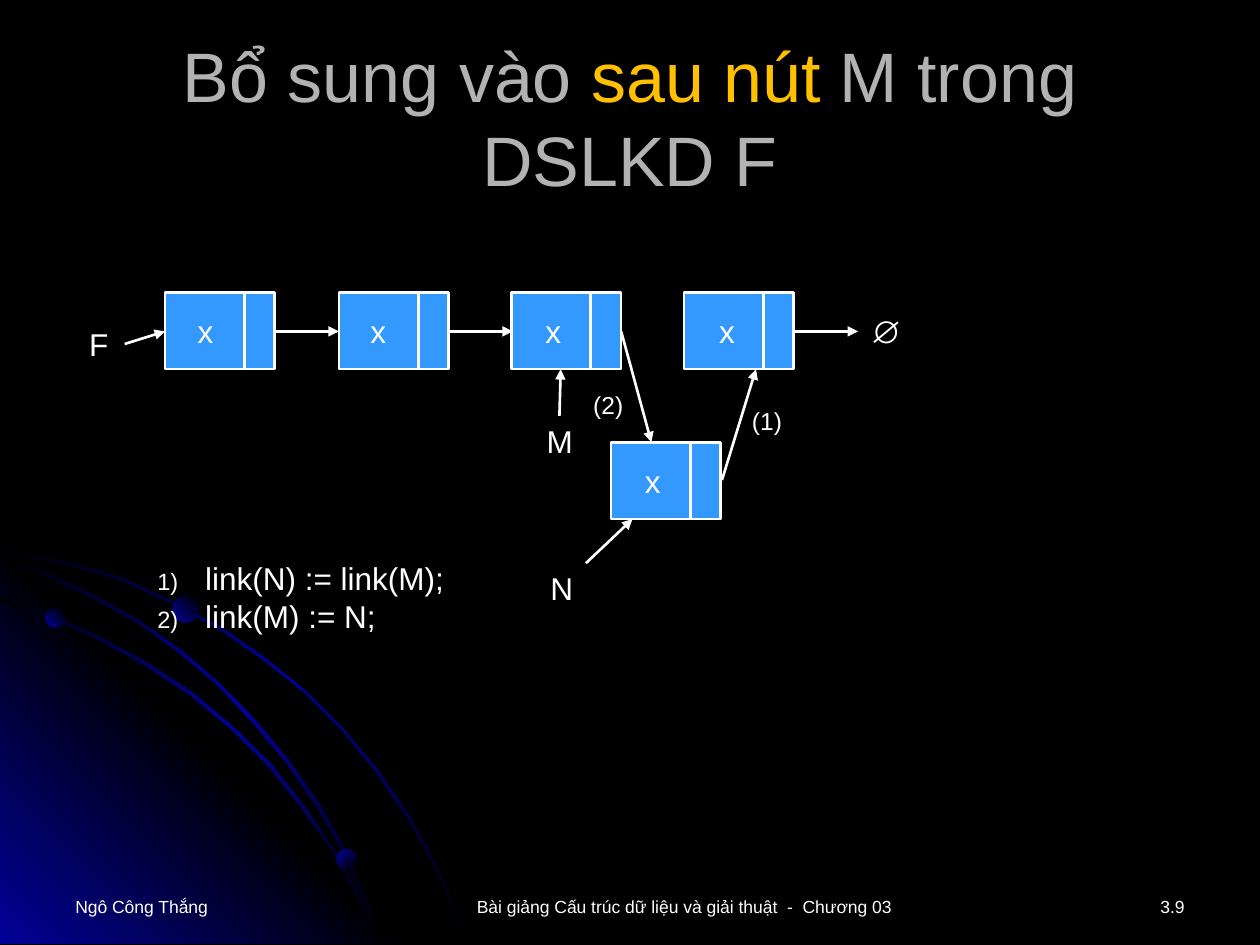
from lxml.etree import SubElement
from pptx import Presentation
from pptx.dml.color import RGBColor
from pptx.enum.shapes import MSO_CONNECTOR, MSO_SHAPE
from pptx.enum.text import MSO_ANCHOR, MSO_AUTO_SIZE as FIT, PP_ALIGN as ALIGN
from pptx.oxml.ns import qn
from pptx.util import Inches, Pt

BLACK = RGBColor(0x00, 0x00, 0x00)
NAVY = RGBColor(0x01, 0x01, 0x99)
BLUE = RGBColor(0x33, 0x99, 0xFF)
WHITE = RGBColor(0xFF, 0xFF, 0xFF)
GREY = RGBColor(0xB2, 0xB2, 0xB2)
GOLD = RGBColor(0xFF, 0xC0, 0x00)
FONT = "Arial"

# Content
TITLE = [("Bổ sung vào ", GREY), ("sau nút", GOLD), (" M trong DSLKD F", GREY)]
FOOTER = [  # text, left, width, alignment
    ("Ngô Công Thắng", 0.5, 2.33, ALIGN.LEFT),
    ("Bài giảng Cấu trúc dữ liệu và giải thuật  -  Chương 03", 2.96, 4.94, ALIGN.CENTER),
    ("3.9", 8.04, 1.46, ALIGN.RIGHT),
]
STEPS = ["link(N) := link(M);", "link(M) := N;"]

# List nodes: left, top, left of the "x"
DATA_W, LINK_W, NODE_H = 0.63, 0.24, 0.61
NODES = [(1.31, 2.32, 1.47), (2.69, 2.32, 2.84), (4.06, 2.32, 4.23),
         (5.43, 2.32, 5.61), (4.85, 3.51, 5.02)]
NAMES = [("F", 0.61, 2.53), ("∅", 6.81, 2.43), ("M", 4.24, 3.3), ("N", 4.27, 4.47)]
ORDER = [("(1)", 5.87, 3.17), ("(2)", 4.61, 3.05)]
ARROWS = [
    (0.99, 2.73, 1.31, 2.63), (2.19, 2.63, 2.69, 2.63), (3.57, 2.63, 4.07, 2.63),
    (4.93, 2.63, 5.17, 3.51), (6.31, 2.63, 6.81, 2.63), (4.44, 3.3, 4.45, 2.93),
    (4.65, 4.47, 5.02, 4.12), (5.73, 3.81, 6, 2.93),
]

# Backdrop: outline points, gradient colours, clockwise angle
GLOW = [BLACK, NAVY, BLACK]
SWEEPS = [
    ([(0.57, 4.47), (0.28, 4.41), (0, 4.35), (0, 4.38), (0.28, 4.43), (0.56, 4.49),
      (0.97, 4.61), (1.35, 4.78), (1.73, 4.99), (2.08, 5.23), (2.41, 5.49), (2.71, 5.79),
      (2.98, 6.12), (3.23, 6.49), (3.37, 6.73), (3.5, 6.98), (3.6, 7.23), (3.7, 7.49),
      (3.72, 7.49), (3.62, 7.23), (3.52, 6.98), (3.39, 6.73), (3.25, 6.48), (3, 6.11),
      (2.72, 5.78), (2.42, 5.48), (2.09, 5.21), (1.74, 4.97), (1.36, 4.77),
      (0.98, 4.59)], GLOW, 45),
    ([(3.22, 7.49), (0, 7.49), (0, 4.27)], [NAVY, BLACK, NAVY], 315),
    ([(2.85, 7.14), (2.94, 7.32), (3.01, 7.49), (3.03, 7.49), (2.96, 7.3), (2.86, 7.12),
      (2.66, 6.76), (2.42, 6.4), (2.15, 6.06), (1.84, 5.76), (1.52, 5.49), (1.17, 5.26),
      (0.79, 5.05), (0.41, 4.88), (0, 4.75), (0, 4.77), (0.39, 4.9), (0.77, 5.07),
      (1.15, 5.28), (1.5, 5.51), (1.83, 5.78), (2.13, 6.08), (2.4, 6.42),
      (2.65, 6.77)], GLOW, 45),
    ([(0, 4.42), (0, 4.44), (0.36, 4.57), (0.74, 4.75), (1.09, 4.94), (1.42, 5.18),
      (1.73, 5.44), (2.02, 5.75), (2.27, 6.05), (2.52, 6.41), (2.67, 6.67), (2.8, 6.94),
      (2.92, 7.22), (3.01, 7.49), (3.03, 7.49), (2.94, 7.2), (2.82, 6.93), (2.69, 6.65),
      (2.54, 6.39), (2.29, 6.03), (2.04, 5.73), (1.75, 5.43), (1.44, 5.16), (1.11, 4.93),
      (0.76, 4.73), (0.39, 4.55)], GLOW, 45),
]
DOTS = [(0.36, 4.83, 0.15, 315), (2.67, 6.74, 0.16, 45), (1.37, 4.73, 0.21, 315)]

deck = Presentation()
deck.slide_width, deck.slide_height = Inches(10), Inches(7.5)
slide = deck.slides.add_slide(deck.slide_layouts[5])
slide.background.fill.solid()
slide.background.fill.fore_color.rgb = BLACK
shapes = slide.shapes


def shade(shape, colors, angle):
    shape.shadow.inherit = False
    shape.line.fill.background()
    shape.fill.gradient()
    shape.fill.gradient_angle = (360 - angle) % 360
    stops = shape._element.spPr.find(".//" + qn("a:gsLst"))
    for old in list(stops):
        stops.remove(old)
    for i, color in enumerate(colors):
        stop = SubElement(stops, qn("a:gs"), pos=str(i * 100000 // (len(colors) - 1)))
        SubElement(stop, qn("a:srgbClr"), val=str(color))


def style(par, size, align=ALIGN.LEFT):
    par.alignment = align
    par.font.name, par.font.size = FONT, Pt(size)
    par.font.color.rgb = WHITE


def label(text, left, top, width, height, size, align=ALIGN.LEFT):
    box = shapes.add_textbox(Inches(left), Inches(top), Inches(width), Inches(height))
    frame = box.text_frame
    frame.word_wrap = True
    frame.text = text
    for par in frame.paragraphs:
        style(par, size, align)
    return frame


def cell(left, top, width):
    box = shapes.add_shape(MSO_SHAPE.RECTANGLE, Inches(left), Inches(top),
                           Inches(width), Inches(NODE_H))
    box.shadow.inherit = False
    box.fill.solid()
    box.fill.fore_color.rgb = BLUE
    box.line.color.rgb = WHITE
    box.line.width = Pt(1.5)


def arrow(*ends):
    line = shapes.add_connector(MSO_CONNECTOR.STRAIGHT, *map(Inches, ends))
    line.line.color.rgb = WHITE
    line.line.width = Pt(1.5)
    props = line._element.spPr
    SubElement(props.find(qn("a:ln")), qn("a:tailEnd"), type="triangle")
    SubElement(props, qn("a:effectLst"))


# Backdrop
for points, colors, angle in SWEEPS:
    spots = [(Inches(x), Inches(y)) for x, y in points]
    pen = shapes.build_freeform(*spots[0])
    pen.add_line_segments(spots[1:], close=True)
    shade(pen.convert_to_shape(), colors, angle)
for left, top, size, angle in DOTS:
    dot = shapes.add_shape(MSO_SHAPE.OVAL, Inches(left), Inches(top),
                           Inches(size), Inches(size))
    shade(dot, [NAVY, BLACK], angle)

# Title
title = shapes.title
title.left, title.top = Inches(0.5), Inches(0.3)
title.width, title.height = Inches(9), Inches(1.25)
frame = title.text_frame
frame.auto_size = FIT.NONE
frame.vertical_anchor = MSO_ANCHOR.MIDDLE
head = frame.paragraphs[0]
style(head, 40, ALIGN.CENTER)
for text, color in TITLE:
    run = head.add_run()
    run.text = text
    run.font.color.rgb = color

# Linked list
for left, top, mark in NODES:
    cell(left, top, DATA_W)
    cell(left + DATA_W, top, LINK_W)
    label("x", mark, top + 0.11, 0.39, 0.4, 18)
for ends in ARROWS:
    arrow(*ends)
for text, left, top in NAMES:
    label(text, left, top, 0.39, 0.4, 18)
for text, left, top in ORDER:
    label(text, left, top, 0.5, 0.34, 14)

# Numbered steps
steps = label("\n".join(STEPS), 1.15, 4.39, 2.64, 0.7, 18)
for par in steps.paragraphs:
    props = par._p.get_or_add_pPr()
    props.set("marL", str(Inches(0.38)))
    props.set("indent", str(Inches(-0.38)))
    tint = SubElement(props, qn("a:buClr"))
    SubElement(tint, qn("a:srgbClr"), val=str(WHITE))
    SubElement(props, qn("a:buSzPct"), val="75000")
    SubElement(props, qn("a:buAutoNum"), type="arabicParenR")
    props.append(props.find(qn("a:defRPr")))  # font defaults come last

# Footer
for text, left, width, align in FOOTER:
    label(text, left, 7.06, width, 0.3, 10, align)

deck.save("out.pptx")
